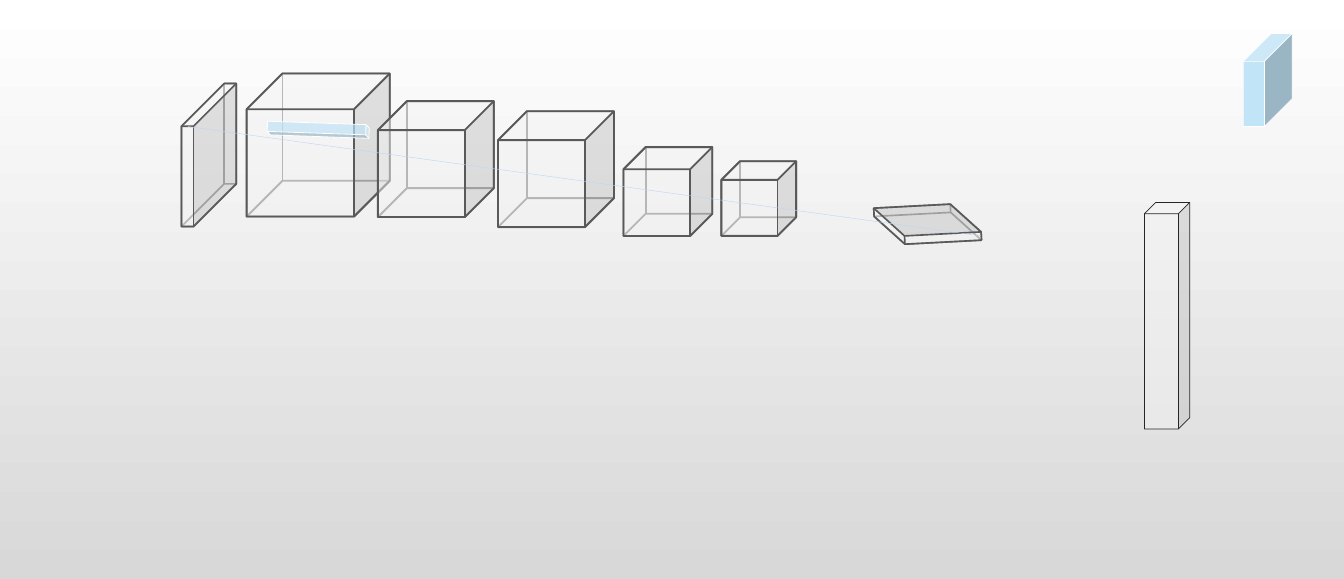
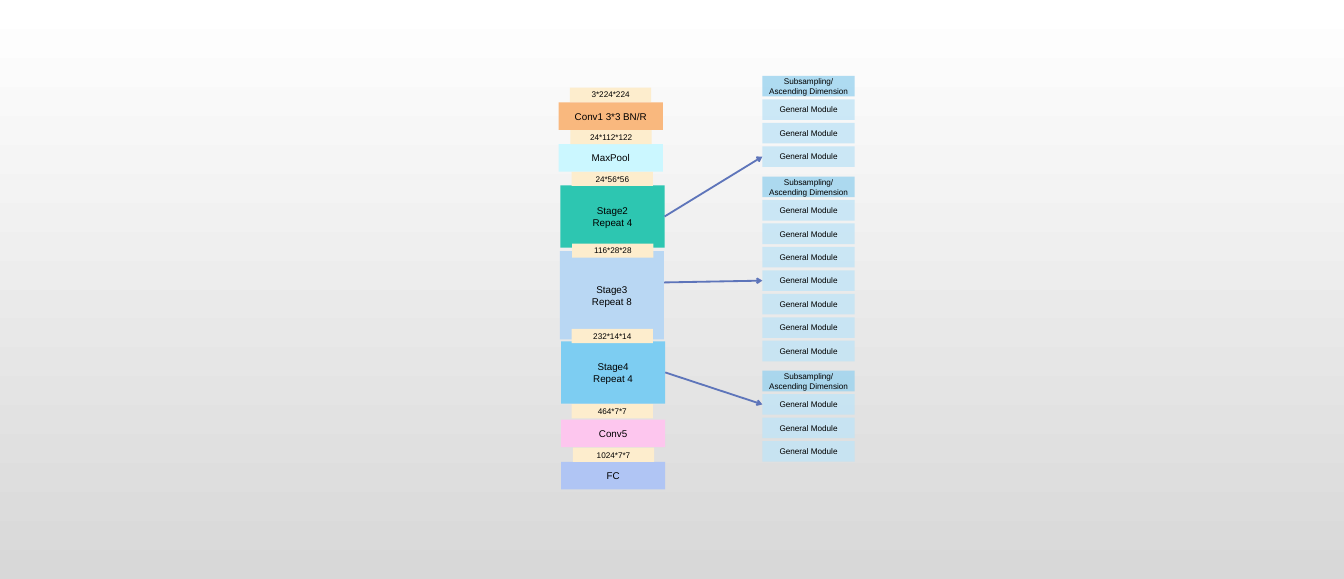
from lxml.etree import SubElement
from pptx import Presentation
from pptx.dml.color import RGBColor
from pptx.enum.shapes import MSO_CONNECTOR as CONNECTOR, MSO_SHAPE as SHAPE
from pptx.enum.text import MSO_ANCHOR as ANCHOR, PP_ALIGN as ALIGN
from pptx.oxml.ns import qn
from pptx.util import Pt

COLORS = {
    "white": "FFFFFF", "backdrop": "D8D8D8", "black": "000000",
    "glass": "F2F2F2", "hidden edge": "808080", "edge": "595959",
    "thin edge": "262626", "ray": "BFD5F5", "arrow": "5E75BA",
    "kernel": "C1E4F6", "module": "C1E4F6", "subsampling": "9BD3EF",
    "tag": "FDEDCD", "conv1": "F9B87E", "pool": "CBF7FF",
    "stage2": "2DC6B1", "stage3": "B9D7F3", "stage4": "7DCDF2",
    "conv5": "FDC6EE", "fc": "B0C5F4",
}
RGB = {name: RGBColor.from_string(value) for name, value in COLORS.items()}


def add_block(page, preset, place, fill=None, opacity=100, line=None,
              line_width=1, rotation=0, depth=None):
    block = page.shapes.add_shape(preset, *(Pt(length) for length in place))
    block.shadow.inherit = False
    block.rotation = rotation
    if depth is not None:
        block.adjustments[0] = depth
    if fill:
        block.fill.solid()
        block.fill.fore_color.rgb = RGB[fill]
        if opacity < 100:
            color = block.element.spPr.find(qn("a:solidFill"))[0]
            SubElement(color, qn("a:alpha"), val=str(opacity * 1000))
    else:
        block.fill.background()
    if line:
        block.line.color.rgb = RGB[line]
        block.line.width = Pt(line_width)
    else:
        block.line.fill.background()
    return block


def write_text(box, text, size=12, color="black", font="Arial"):
    frame = box.text_frame
    frame.word_wrap = True
    frame.vertical_anchor = ANCHOR.MIDDLE
    frame.margin_left = frame.margin_right = Pt(7.2)
    frame.margin_top = frame.margin_bottom = Pt(7.2)
    frame.text = text
    for para in frame.paragraphs:
        para.alignment = ALIGN.CENTER
        for span in para.runs:
            span.font.name = font
            span.font.size = Pt(size)
            span.font.color.rgb = RGB[color]


deck = Presentation()
deck.slide_width, deck.slide_height = Pt(1643.76), Pt(708.48)
backdrop = deck.slide_master.background.fill
backdrop.gradient()
backdrop.gradient_angle = 270
for stop, name in zip(backdrop.gradient_stops, ("white", "backdrop")):
    stop.color.rgb = RGB[name]
blank = deck.slide_layouts[6]

page = deck.slides.add_slide(blank)
cubes = [(301.7, 90, 175), (462.2, 123.8, 141.8), (609.1, 136.1, 141.8),
         (762.5, 180, 108.7), (882.3, 197.3, 91.4)]
volumes = [((left, top, side, side), 0, 0.25, 2.25) for left, top, side in cubes]
volumes += [((222, 102.2, 67, 175), 0, 0.78, 2),
            ((1111.5, 209.5, 46, 129.6), 267, 0.78, 2)]
for place, turn, depth, width in volumes:
    add_block(page, SHAPE.CUBE, place, line="hidden edge", line_width=width,
              rotation=(turn + 180) % 360, depth=depth)
for place, turn, depth, width in volumes:
    add_block(page, SHAPE.CUBE, place, fill="glass", opacity=48, line="edge",
              line_width=width, rotation=turn, depth=depth)
add_block(page, SHAPE.CUBE, (380.9, 96.5, 16.6, 124.6), fill="kernel",
          opacity=69, line="white", rotation=92)
add_block(page, SHAPE.CUBE, (1520.6, 41, 59.8, 113.8), fill="kernel",
          line="white", line_width=0.75, depth=0.57)
add_block(page, SHAPE.CUBE, (1399.7, 247.7, 55.4, 277.2), fill="glass",
          opacity=48, line="thin edge")
ray = page.shapes.add_connector(CONNECTOR.STRAIGHT, Pt(229.7), Pt(154.8),
                                Pt(1199.5), Pt(288.7))
ray.line.color.rgb = RGB["ray"]
ray.line.width = Pt(0.5)

page = deck.slides.add_slide(blank)
layers = [
    ("Conv1 3*3 BN/R", "conv1", 683.3, 125.3, 33.8),
    ("MaxPool", "pool", 683.3, 176.4, 33.8),
    ("Stage2\nRepeat 4", "stage2", 685.4, 226.8, 76.3),
    ("Stage3\nRepeat 8", "stage3", 684.7, 307.4, 108),
    ("Stage4\nRepeat 4", "stage4", 686.2, 417.6, 76.3),
    ("Conv5", "conv5", 686.2, 513.4, 33.8),
    ("FC", "fc", 686.2, 565.2, 33.8),
]
stages = {}
for text, name, left, top, height in layers:
    stages[name] = add_block(page, SHAPE.RECTANGLE, (left, top, 127.4, height), fill=name)
    write_text(stages[name], text)

tags = [("3*224*224", 697, 107.3), ("24*112*122", 697.7, 159.1),
        ("24*56*56", 699.1, 210.2), ("116*28*28", 699.8, 298.1),
        ("232*14*14", 699.1, 402.5), ("464*7*7", 699.1, 494.6),
        ("1024*7*7", 700.6, 547.9)]
for text, left, top in tags:
    tag = add_block(page, SHAPE.RECTANGLE, (left, top, 99.4, 17.3), fill="tag")
    write_text(tag, text, size=10)

groups = [("stage2", 92.9, 3, 3), ("stage3", 216, 7, 4), ("stage4", 453.6, 3, 1)]
for stage_name, top, count, target in groups:
    modules = []
    for row in range(count + 1):
        fill, text = ("module", "General Module") if row else (
            "subsampling", "Subsampling/\nAscending Dimension")
        module = add_block(page, SHAPE.RECTANGLE, (932.4, top + 28.7 * row, 113, 25.2),
                           fill=fill, opacity=80)
        write_text(module, text, size=10)
        modules.append(module)
    arrow = page.shapes.add_connector(CONNECTOR.STRAIGHT, Pt(812.2), Pt(345.6),
                                      Pt(932.4), Pt(345.6))
    if stage_name != "stage3":
        arrow.begin_connect(stages[stage_name], 3)
    arrow.end_connect(modules[target], 1)
    arrow.line.color.rgb = RGB["arrow"]
    arrow.line.width = Pt(2.25)
    SubElement(arrow.element.spPr.find(qn("a:ln")), qn("a:tailEnd"), type="arrow")

for page in deck.slides:
    for line in page.element.iter(qn("p:cxnSp")):
        SubElement(line.spPr, qn("a:effectLst"))

deck.save("out.pptx")
